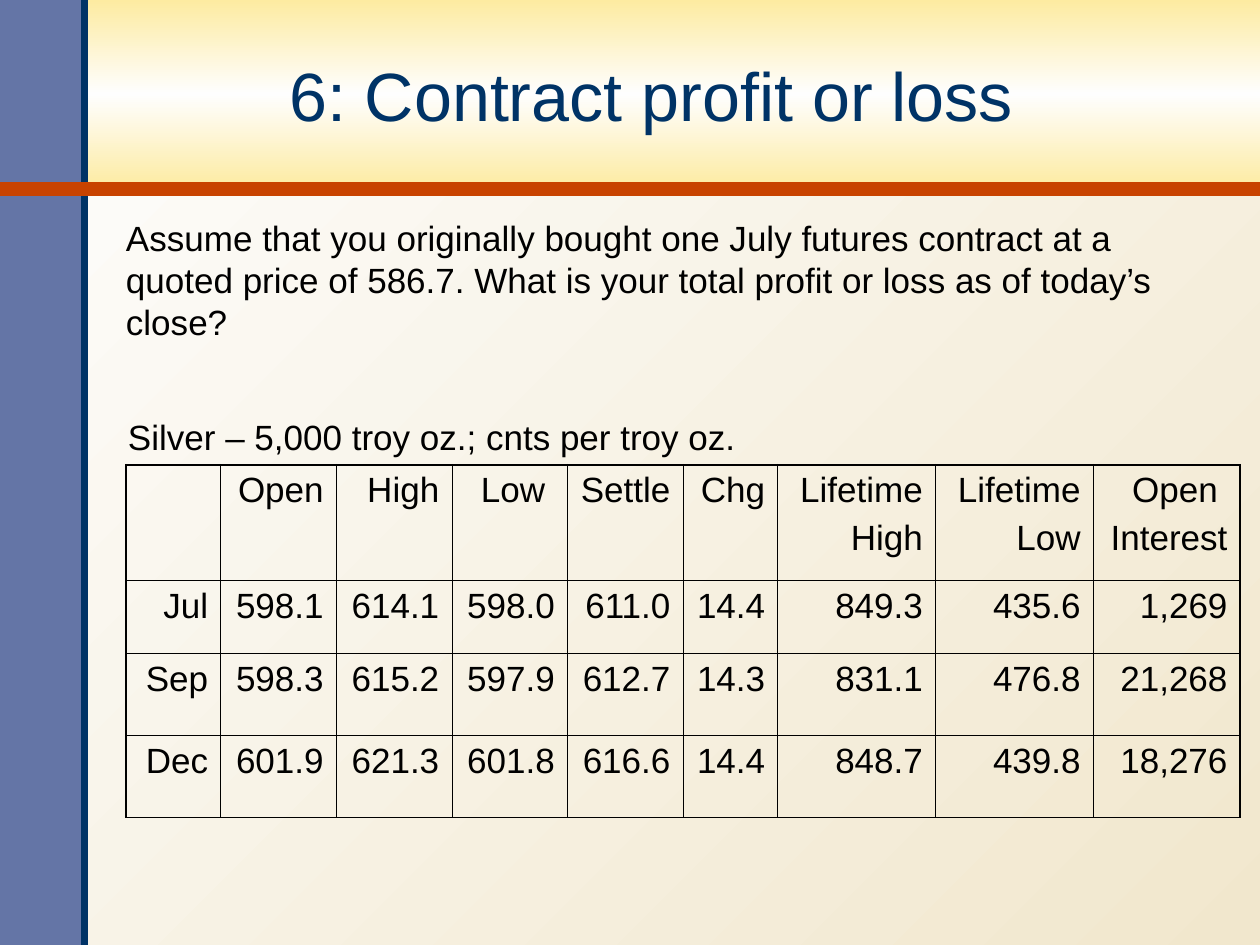
from lxml.etree import SubElement as Sub
from copy import deepcopy
from pptx import Presentation
from pptx.dml.color import RGBColor as RGB
from pptx.enum.shapes import MSO_CONNECTOR as Conn, MSO_SHAPE as Shape
from pptx.enum.text import MSO_ANCHOR as Anchor, MSO_AUTO_SIZE as Auto, PP_ALIGN as Align
from pptx.oxml.ns import qn
from pptx.util import Cm, Pt

BLACK = RGB(0x00, 0x00, 0x00)
NAVY = RGB(0x00, 0x33, 0x66)
SLATE = RGB(0x64, 0x75, 0xA6)
RUST = RGB(0xC8, 0x43, 0x00)
GOLD = RGB(0xFD, 0xEB, 0xA1)
SAND = RGB(0xF1, 0xE7, 0xCD)
PALE = RGB(0xFE, 0xFE, 0xFE)
WIDE, TALL, BAND, SIDE = Cm(25.4), Cm(19.05), Cm(3.81), Cm(1.7)
COLS = [1.91, 2.33, 2.33, 2.33, 2.33, 1.91, 3.18, 3.18, 2.96]
ROWS = [2.33, 1.48, 1.65, 1.65]
DATA = [
    ["", "Open", "High", "Low ", "Settle", "Chg",
     "Lifetime\nHigh", "Lifetime\nLow", "Open \nInterest"],
    ["Jul", "598.1", "614.1", "598.0", "611.0", "14.4", "849.3", "435.6", "1,269"],
    ["Sep", "598.3", "615.2", "597.9", "612.7", "14.3", "831.1", "476.8", "21,268"],
    ["Dec", "601.9", "621.3", "601.8", "616.6", "14.4", "848.7", "439.8", "18,276"],
]
ASK = ("Assume that you originally bought one July futures contract at a\n"
       "quoted price of 586.7. What is your total profit or loss as of today’s\n"
       "close?")


def write(frame, text, size=20, color=BLACK, align=Align.LEFT, gap=0):
    """Fill a text frame with one paragraph per line of text."""
    for i, line in enumerate(text.split("\n")):
        para = frame.add_paragraph() if i else frame.paragraphs[0]
        para.text = line
        para.alignment = align
        para.space_before = Pt(gap if i else 0)
        para.font.name = "Arial"
        para.font.size = Pt(size)
        para.font.color.rgb = color


def blend(fill, angle, first, last):
    """Give a fill a linear gradient of two colours."""
    fill.gradient()
    fill.gradient_angle = angle
    for stop, color in zip(fill.gradient_stops, (first, last)):
        stop.color.rgb = color


def block(slide, x, y, w, h):
    """Add a rectangle without outline or shadow."""
    rect = slide.shapes.add_shape(Shape.RECTANGLE, x, y, w, h)
    rect.shadow.inherit = False
    rect.line.fill.background()
    return rect


def rule(slide, start, end, color, width):
    """Draw a straight line without shadow."""
    line = slide.shapes.add_connector(Conn.STRAIGHT, *start, *end)
    line.line.color.rgb = color
    line.line.width = Pt(width)
    Sub(line._element.spPr, qn("a:effectLst"))


def frame(slide, x, y, w, h):
    """Draw the background, top band, side bar and their rules."""
    blend(slide.background.fill, 135, SAND, PALE)
    band = block(slide, x, y, w, BAND)
    blend(band.fill, 270, GOLD, PALE)
    stops = band._element.spPr.find(".//" + qn("a:gsLst"))
    stops.append(deepcopy(stops[0]))
    for stop, pos in zip(stops, (0, 50000, 100000)):
        stop.set("pos", str(pos))
    side = block(slide, x, y, SIDE, h)
    side.fill.solid()
    side.fill.fore_color.rgb = SLATE
    rule(slide, (x + SIDE, y + h), (x + SIDE, y), NAVY, 4)
    rule(slide, (x, y + BAND), (x + w, y + BAND), RUST, 8)


def title(slide, text, x, y, w, h):
    """Place the title placeholder in front of the band."""
    head = slide.shapes.title
    head.left, head.top, head.width, head.height = x, y, w, h
    head.text_frame.vertical_anchor = Anchor.MIDDLE
    write(head.text_frame, text, size=39, color=NAVY, align=Align.CENTER)
    tree = head._element.getparent()
    tree.append(head._element)


def note(slide, text, x, y, w, h, wrap=True):
    """Add a text box of plain body text."""
    box = slide.shapes.add_textbox(x, y, w, h).text_frame
    box.word_wrap = wrap
    box.auto_size = Auto.SHAPE_TO_FIT_TEXT
    write(box, text)


def edge(cell, side, width):
    """Draw one black border of a cell."""
    props = cell._tc.get_or_add_tcPr()
    line = Sub(props, qn("a:ln" + side), w=str(Pt(width)))
    Sub(Sub(line, qn("a:solidFill")), qn("a:srgbClr"), val=str(BLACK))


def prices(slide, x, y, w, h):
    """Build the price table with a heavier outer border."""
    grid = slide.shapes.add_table(len(ROWS), len(COLS), x, y, w, h).table
    grid.first_row = grid.horz_banding = False
    for col, size in zip(grid.columns, COLS):
        col.width = Cm(size)
    for row, size in zip(grid.rows, ROWS):
        row.height = Cm(size)
    for r, row in enumerate(DATA):
        for c, text in enumerate(row):
            cell = grid.cell(r, c)
            write(cell.text_frame, text, align=Align.RIGHT, gap=5)
            outer = {"L": c == 0, "R": c == len(COLS) - 1,
                     "T": r == 0, "B": r == len(ROWS) - 1}
            for side, thick in outer.items():
                edge(cell, side, 1.08 if thick else 0.45)
            cell.fill.background()


def main():
    """Build and save the slide."""
    deck = Presentation()
    deck.slide_width, deck.slide_height = WIDE, TALL
    slide = deck.slides.add_slide(deck.slide_layouts[5])
    frame(slide, 0, 0, WIDE, TALL)
    title(slide, "6: Contract profit or loss", Cm(1.65), Cm(0.38), Cm(22.96), Cm(3.05))
    prices(slide, Cm(2.54), Cm(9.37), Cm(sum(COLS)), Cm(sum(ROWS)))
    note(slide, "Silver – 5,000 troy oz.; cnts per troy oz.",
         Cm(2.33), Cm(8.26), Cm(12.93), Cm(1.11))
    note(slide, ASK, Cm(2.29), Cm(4.24), Cm(21.21), Cm(2.8), wrap=False)
    deck.save("out.pptx")


if __name__ == "__main__":
    main()
